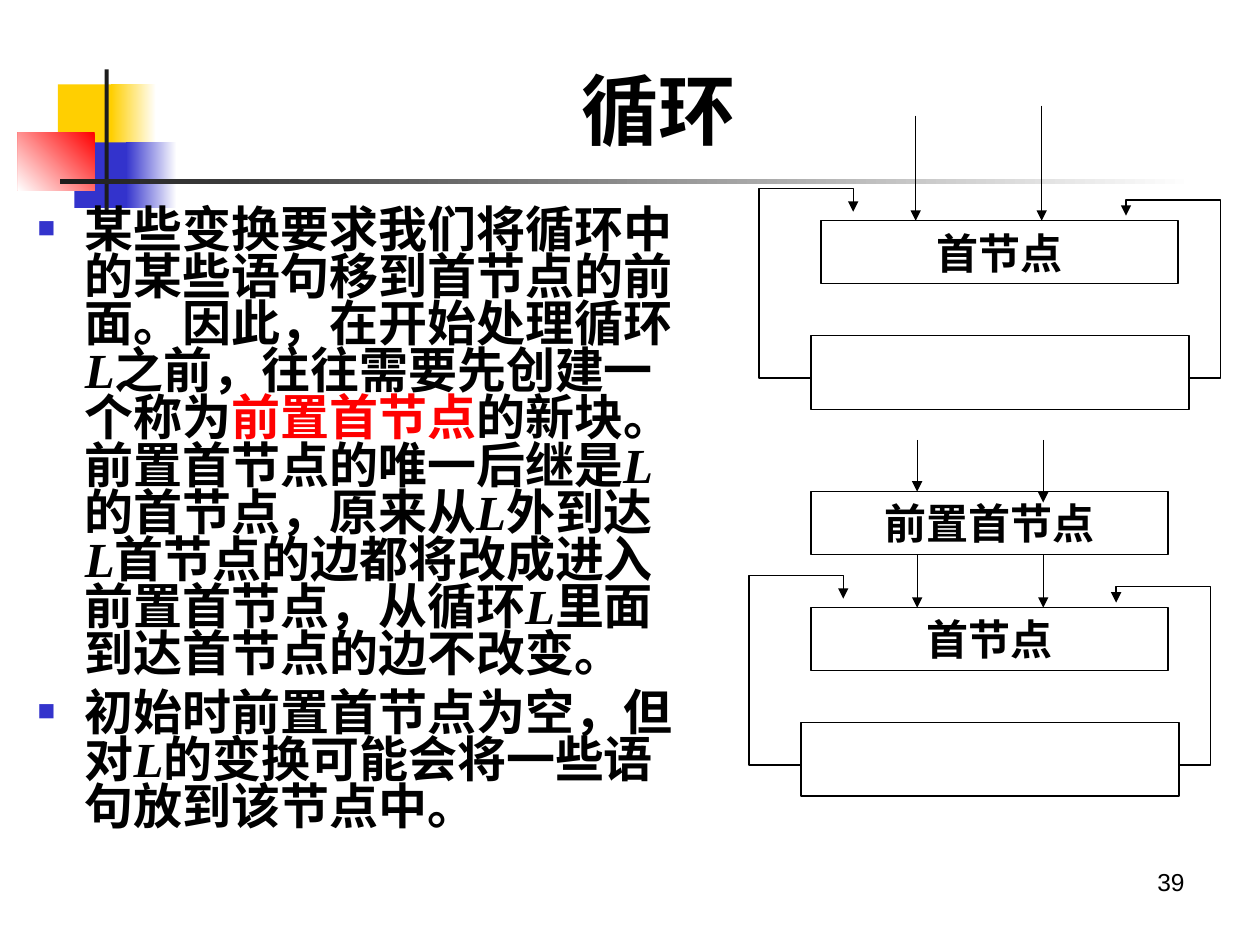
import pptx
import pptx.util
import pptx.dml.color
import pptx.enum.shapes
import pptx.enum.text
import pptx.oxml
import pptx.oxml.ns
import lxml.etree

Cm = pptx.util.Cm
Pt = pptx.util.Pt
RGBColor = pptx.dml.color.RGBColor
RECTANGLE = pptx.enum.shapes.MSO_SHAPE.RECTANGLE
STRAIGHT = pptx.enum.shapes.MSO_CONNECTOR.STRAIGHT
ALIGN = pptx.enum.text.PP_ALIGN
ANCHOR = pptx.enum.text.MSO_ANCHOR
qn = pptx.oxml.ns.qn

BLACK = RGBColor(0x00, 0x00, 0x00)
WHITE = RGBColor(0xFF, 0xFF, 0xFF)
RED = RGBColor(0xFF, 0x00, 0x00)
YELLOW = RGBColor(0xFF, 0xCF, 0x01)
BLUE = RGBColor(0x33, 0x33, 0xCC)
CHARCOAL = RGBColor(0x1C, 0x1C, 0x1C)

TITLE_FORMAT = {"name": "Times New Roman", "size": Pt(44), "bold": True}
BODY_FORMAT = {"name": "Times New Roman", "size": Pt(28), "bold": True}
NODE_FORMAT = {"name": "Times New Roman", "size": Pt(24), "bold": True}
NUMBER_FORMAT = {"name": "Arial", "size": Pt(14), "bold": False}


def write(paragraph, words, values, color=BLACK):
    run = paragraph.add_run()
    run.text = words
    for key, value in values.items():
        setattr(run.font, key, value)
    run.font.color.rgb = color
    east_asian = lxml.etree.Element(qn("a:ea"), typeface="Noto Sans CJK SC")
    run.font._element.find(qn("a:latin")).addnext(east_asian)


def style_edge(edge, arrow):
    edge.line.color.rgb = BLACK
    edge.line.width = Pt(0.75)
    if arrow:
        properties = edge._element.spPr
        outline = properties.find(qn("a:ln"))
        lxml.etree.SubElement(outline, qn("a:tailEnd"), type="triangle")
        if properties.find(qn("a:effectLst")) is None:
            lxml.etree.SubElement(properties, qn("a:effectLst"))


deck = pptx.Presentation()
deck.slide_width = Cm(25.4)
deck.slide_height = Cm(19.05)
slide = deck.slides.add_slide(deck.slide_layouts[6])

ornaments = [
    (1.17, 1.7, 1.22, 1.32, YELLOW, None, None),
    (2.24, 1.7, 0.91, 1.32, WHITE, YELLOW, 180),
    (1.5, 2.87, 1.17, 1.32, BLUE, None, None),
    (2.54, 2.87, 1.02, 1.32, WHITE, BLUE, 180),
    (0.36, 2.67, 1.55, 1.17, RED, WHITE, 225),
    (2.11, 1.4, 0.08, 2.92, CHARCOAL, None, None),
    (1.22, 3.61, 22.86, 0.1, WHITE, CHARCOAL, 180),
]
for left, top, width, height, first, last, angle in ornaments:
    ornament = slide.shapes.add_shape(RECTANGLE, Cm(left), Cm(top), Cm(width), Cm(height))
    ornament.shadow.inherit = False
    ornament.line.fill.background()
    if last is None:
        ornament.fill.solid()
        ornament.fill.fore_color.rgb = first
    else:
        ornament.fill.gradient()
        ornament.fill.gradient_angle = angle
        for stop, color in zip(ornament.fill.gradient_stops, (first, last)):
            stop.color.rgb = color

captions = [
    ("39", 18.21, 17.35, 5.92, 1.32, NUMBER_FORMAT, ALIGN.RIGHT, ANCHOR.TOP),
    ("循环", 11.48, 1.12, 4.04, 2.16, TITLE_FORMAT, ALIGN.LEFT, ANCHOR.MIDDLE),
]
for words, left, top, width, height, values, alignment, anchor in captions:
    caption = slide.shapes.add_textbox(Cm(left), Cm(top), Cm(width), Cm(height)).text_frame
    caption.word_wrap = True
    caption.vertical_anchor = anchor
    caption.paragraphs[0].alignment = alignment
    write(caption.paragraphs[0], words, values)

explanations = [
    [
        "某些变换要求我们将循环中的某些语句移到首节点的前面。因此，在开始处理循环",
        "L",
        "之前，往往需要先创建一个称为",
        "前置首节点",
        "的新块。前置首节点的唯一后继是",
        "L",
        "的首节点，原来从",
        "L",
        "外到达",
        "L",
        "首节点的边都将改成进入前置首节点，从循环",
        "L",
        "里面到达首节点的边不改变。",
    ],
    ["初始时前置首节点为空，但对", "L", "的变换可能会将一些语句放到该节点中。"],
]
explanation = slide.shapes.add_textbox(Cm(0.51), Cm(4.11), Cm(13.41), Cm(14.2)).text_frame
explanation.word_wrap = True
for index, pieces in enumerate(explanations):
    paragraph = explanation.add_paragraph() if index else explanation.paragraphs[0]
    properties = paragraph._p.get_or_add_pPr()
    properties.set("marL", str(Cm(0.95)))
    properties.set("indent", str(-Cm(0.95)))
    bullet_color = lxml.etree.SubElement(properties, qn("a:buClr"))
    lxml.etree.SubElement(bullet_color, qn("a:srgbClr"), val=str(BLUE))
    lxml.etree.SubElement(properties, qn("a:buSzPct"), val="60000")
    lxml.etree.SubElement(properties, qn("a:buFont"), typeface="Arial")
    lxml.etree.SubElement(properties, qn("a:buChar"), char="■")
    paragraph.line_spacing = 0.8
    paragraph.space_before = Pt(7 if index else 0)
    for piece in pieces:
        values = {**BODY_FORMAT, "italic": piece == "L"}
        write(paragraph, piece, values, RED if piece == "前置首节点" else BLACK)

left_back_edge = [(16.35, 7.62), (15.3, 7.62), (15.3, 3.8), (17.2, 3.8), (17.2, 4.27)]
right_back_edge = [(23.97, 7.62), (24.61, 7.62), (24.61, 4.03), (22.7, 4.03), (22.7, 4.35)]
before = slide.shapes.add_group_shape().shapes
after = slide.shapes
nodes = []
for diagram, dx, dy in [(before, 0, 0), (after, -0.2, 7.8)]:
    nodes.append((diagram, "首节点", 16.55 + dx, 4.45 + dy, 7.2, 1.27))
    nodes.append((diagram, "", 16.35 + dx, 6.77 + dy, 7.62, 1.48))
    for back_edge in (left_back_edge, right_back_edge):
        points = [(Cm(x + dx), Cm(y + dy)) for x, y in back_edge]
        builder = diagram.build_freeform(*points[0])
        builder.add_line_segments(points[1:], close=False)
        loop_edge = builder.convert_to_shape()
        loop_edge.shadow.inherit = False
        loop_edge.fill.background()
        style_edge(loop_edge, True)
nodes.append((after, "前置首节点", 16.35, 9.91, 7.2, 1.27))

for diagram, words, left, top, width, height in nodes:
    node = diagram.add_shape(RECTANGLE, Cm(left), Cm(top), Cm(width), Cm(height))
    node.shadow.inherit = False
    node.fill.background()
    style_edge(node, False)
    if words:
        node.text_frame.word_wrap = True
        node.text_frame.vertical_anchor = ANCHOR.MIDDLE
        node.text_frame.paragraphs[0].alignment = ALIGN.CENTER
        write(node.text_frame.paragraphs[0], words, NODE_FORMAT)

entries = [
    (before, 18.46, 2.33, 4.45),
    (before, 21, 2.13, 4.45),
    (after, 18.49, 8.87, 9.91),
    (after, 21.03, 8.87, 10.13),
    (after, 18.49, 11.18, 12.25),
    (after, 21.03, 11.18, 12.25),
]
for diagram, x, start, end in entries:
    entry = diagram.add_connector(STRAIGHT, Cm(x), Cm(start), Cm(x), Cm(end))
    style_edge(entry, True)

deck.save("out.pptx")
